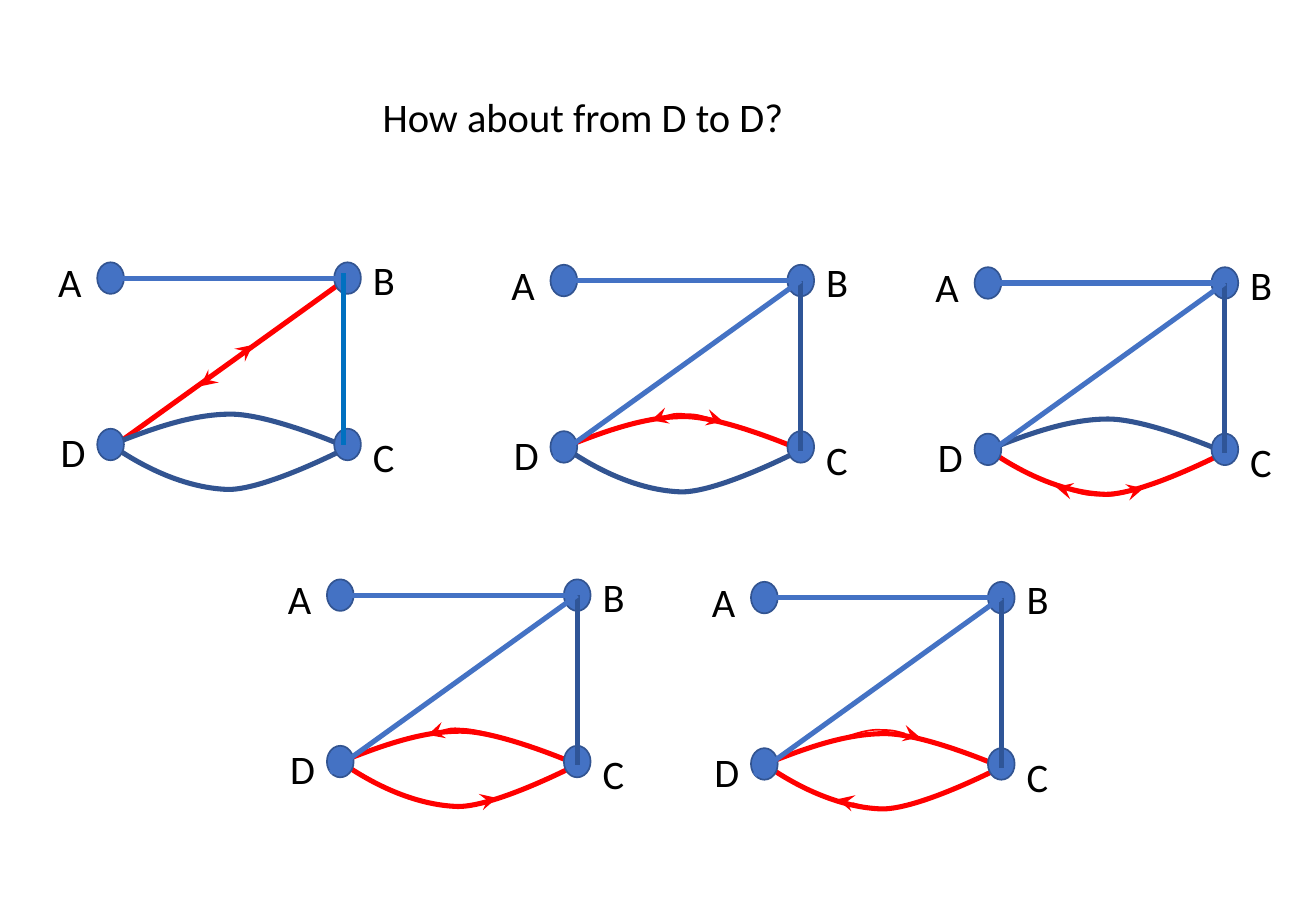
from dataclasses import dataclass

from lxml import etree
from pptx import Presentation, util as u
from pptx.dml.color import RGBColor
from pptx.enum import shapes, text
from pptx.oxml.ns import qn

CELL = u.Inches(0.01)  # side of one cell of the slide grid
COLUMNS, ROWS = 1083, 750


@dataclass(frozen=True)
class Theme:
    font: str = "Calibri"
    size: int = 24
    ink: str = "000000"
    node: str = "4472C4"
    outline: str = "325491"
    side: str = "2F5597"
    bright_side: str = "0070C0"
    route: str = "FF0000"
    edge_width: float = 3
    outline_width: float = 1
    hint_width: float = 0.5


THEME = Theme()

# Cells to the right of and below the centre of node A.
NODES = {"A": (0, 0), "B": (195, 0), "D": (0, 137), "C": (195, 137)}
LABELS = {"A": (-53, -22), "B": (206, -24), "D": (-51, 118), "C": (206, 122)}
NODE_SIZE = (22, 26)
LABEL_SIZE = (35, 37)
DIAGONAL = ((195, 0), (-8, 146))
SIDE, BRIGHT_SIDE = ((195, 0), (195, 140)), ((192, -4), (192, 137))
DIAGONAL_ARROW = ((117, 55), (74, 89))
ARCS = {
    "lower": [(0, 137), (30, 158), (64, 173), (97, 174),
              (129, 174), (196, 139), (196, 139)],
    "upper": [(1, 137), (34, 124), (67, 112), (99, 112),
              (132, 112), (194, 139), (194, 139)],
}
ARC_ARROWS = {
    "lower": [(56, 168), (65, 170), (80, 175), (92, 175),
              (104, 176), (128, 169), (128, 169)],
    "upper": [(72, 115), (81, 112), (91, 109), (100, 110),
              (110, 110), (131, 116), (131, 116)],
}

# Centre of node A, edges of the route, and its arrows: arc, line ends, nudge.
ROUTES = [
    ((91, 229), {"diagonal"}, []),
    ((464, 231), {"upper"}, [("upper", ("head", "tail"), (0, 0))]),
    ((813, 233), {"lower"}, [("lower", ("head", "tail"), (0, 0))]),
    ((280, 490), {"upper", "lower"},
     [("upper", ("head",), (0, 0)), ("lower", ("tail",), (1, -2))]),
    ((629, 492), {"upper", "lower"},
     [("upper", ("tail",), (-3, -1)), ("lower", ("head",), (4, -2))]),
]


def cells(*counts):
    return [round(count * CELL) for count in counts]


def moved(origin, point):
    return origin[0] + point[0], origin[1] + point[1]


def apply(target, **values):
    for name, value in values.items():
        setattr(target, name, value)


def style_line(line, color, width, ends=()):
    """Colour a line and put a stealth arrowhead at each named end."""
    line.color.rgb = RGBColor.from_string(color)
    line.width = u.Pt(width)
    for end in ends:
        etree.SubElement(line.color._xFill.getparent(), qn(f"a:{end}End"),
                         type="stealth", w="lg", len="lg")


def add_label(parent, words, place, size, align=None):
    box = parent.add_textbox(*cells(*place, *size))
    apply(box.text_frame, word_wrap=True,
          auto_size=text.MSO_AUTO_SIZE.SHAPE_TO_FIT_TEXT)
    para = box.text_frame.paragraphs[0]
    para.alignment = align
    span = para.add_run()
    span.text = words
    apply(span.font, name=THEME.font, size=u.Pt(THEME.size))
    span.font.color.rgb = RGBColor.from_string(THEME.ink)


def add_node(parent, center):
    width, height = NODE_SIZE
    corner = moved(center, (-width / 2, -height / 2))
    node = parent.add_shape(shapes.MSO_SHAPE.OVAL, *cells(*corner, *NODE_SIZE))
    node.shadow.inherit = False
    node.fill.solid()
    node.fill.fore_color.rgb = RGBColor.from_string(THEME.node)
    style_line(node.line, THEME.outline, THEME.outline_width)


def add_edge(parent, origin, ends, color, width=THEME.edge_width, heads=()):
    start, stop = (moved(origin, end) for end in ends)
    edge = parent.add_connector(shapes.MSO_CONNECTOR.STRAIGHT,
                                *cells(*start, *stop))
    style_line(edge.line, color, width, heads)
    etree.SubElement(edge._element.spPr, qn("a:effectLst"))


def add_arc(parent, origin, points, color, width=THEME.edge_width, heads=()):
    """Draw a smooth line; each three points after the first make a Bézier."""
    start, *others = (moved(origin, point) for point in points)
    builder = parent.build_freeform(*start, scale=CELL)
    builder.add_line_segments(others, close=False)
    arc = builder.convert_to_shape()
    outline = arc._element.find(".//" + qn("a:path"))
    steps = outline.findall(qn("a:lnTo"))
    for first in range(0, len(steps), 3):
        bend = etree.SubElement(outline, qn("a:cubicBezTo"))
        for step in steps[first:first + 3]:
            bend.append(step[0])
            outline.remove(step)
    arc.fill.background()
    style_line(arc.line, color, width, heads)
    arc.shadow.inherit = False


def add_graph(page, origin, route):
    """Draw one graph as a group, with the edges of the route in red."""
    parent = page.shapes.add_group_shape().shapes
    by_diagonal = "diagonal" in route
    if by_diagonal:
        add_edge(parent, origin, DIAGONAL, THEME.route)
    for name, points in ARCS.items():
        color = THEME.route if name in route else THEME.outline
        add_arc(parent, origin, points, color)
    for center in NODES.values():
        add_node(parent, moved(origin, center))
    for name, place in LABELS.items():
        add_label(parent, name, moved(origin, place), LABEL_SIZE,
                  text.PP_ALIGN.CENTER)
    add_edge(parent, origin, (NODES["B"], NODES["A"]), THEME.node)
    if by_diagonal:
        add_edge(parent, origin, BRIGHT_SIDE, THEME.bright_side)
        add_edge(parent, origin, DIAGONAL_ARROW, THEME.route,
                 THEME.hint_width, ("head", "tail"))
    else:
        add_edge(parent, origin, SIDE, THEME.side)
        add_edge(parent, origin, DIAGONAL, THEME.node)


def main():
    deck = Presentation()
    deck.slide_width, deck.slide_height = cells(COLUMNS, ROWS)
    page = deck.slides.add_slide(deck.slide_layouts[6])
    add_label(page.shapes, "How about from D to D?", (305, 71), (381, 50))
    for origin, route, _ in ROUTES:
        add_graph(page, origin, route)
    for origin, _, arrows in ROUTES:
        for name, heads, nudge in arrows:
            add_arc(page.shapes, moved(origin, nudge), ARC_ARROWS[name],
                    THEME.route, THEME.outline_width, heads)
    deck.save("out.pptx")


if __name__ == "__main__":
    main()
